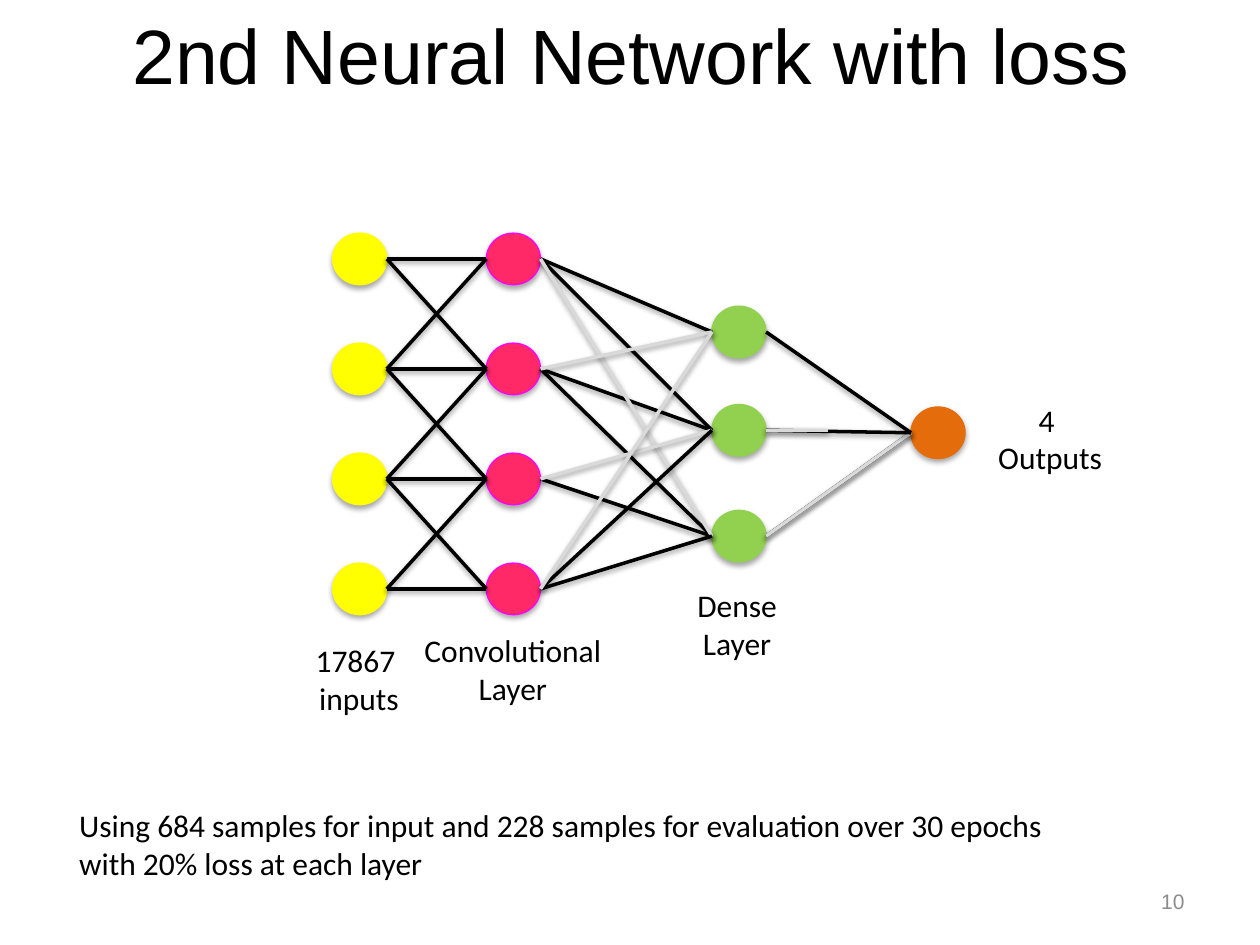
from dataclasses import dataclass

from lxml import etree
from pptx import Presentation
from pptx.dml.color import RGBColor
from pptx.enum import shapes, text
from pptx.oxml import ns
from pptx.util import Inches, Pt


@dataclass(frozen=True)
class Theme:
    black: str = "000000"
    grey: str = "D9D9D9"
    muted: str = "8C8C8C"
    yellow: str = "FFFF00"
    pink: str = "FF2968"
    magenta: str = "FF00FF"
    green: str = "92D050"
    orange: str = "E46C0A"
    head: str = "Arial"
    body: str = "Calibri"
    title: int = 44
    label: int = 18
    small: int = 12


@dataclass(frozen=True)
class Layer:
    left: float
    tops: tuple[float, ...]
    fill: str
    edge: str

    def start(self, row: int) -> tuple[float, float]:
        """Right-hand middle of a node."""
        return self.left + WIDE, self.tops[row] + HIGH / 2

    def end(self, row: int) -> tuple[float, float]:
        """Left-hand middle of a node."""
        return self.left, self.tops[row] + HIGH / 2


THEME = Theme()
WIDE, HIGH = 0.43, 0.41
ROWS = tuple(1.85 + 0.873 * row for row in range(4))
INPUT = Layer(2.64, ROWS, THEME.yellow, THEME.yellow)
CONV = Layer(3.86, ROWS, THEME.pink, THEME.magenta)
DENSE = Layer(5.65, (2.43, 3.21, 4.05), THEME.green, THEME.green)
OUTPUT = Layer(7.23, (3.23,), THEME.orange, THEME.orange)

# Links as (from row, to row, lost), in drawing order
NEAR = [(a, b, False) for a in range(4) for b in range(4) if abs(a - b) < 2]
CROSS = [(0, 0, False), (1, 1, False), (2, 2, False), (0, 1, False),
         (1, 2, False), (0, 2, True), (3, 2, False), (2, 1, True),
         (1, 0, True), (3, 1, False), (3, 0, True)]
FINAL = [(2, 0, False), (0, 0, False), (2, 0, True), (1, 0, False)]


def shade(shape, dist: int, alpha: int) -> None:
    """Give a shape a soft shadow straight below it."""
    props = shape._element.spPr
    effect = etree.SubElement(props, ns.qn("a:effectLst"))
    outer = etree.SubElement(effect, ns.qn("a:outerShdw"), blurRad="40000",
                             dist=str(dist), dir="5400000", rotWithShape="0")
    color = etree.SubElement(outer, ns.qn("a:srgbClr"), val=THEME.black)
    etree.SubElement(color, ns.qn("a:alpha"), val=str(alpha * 1000))


def node(slide, layer: Layer, top: float) -> None:
    dot = slide.shapes.add_shape(shapes.MSO_SHAPE.OVAL, Inches(layer.left),
                                 Inches(top), Inches(WIDE), Inches(HIGH))
    dot.fill.solid()
    dot.fill.fore_color.rgb = RGBColor.from_string(layer.fill)
    dot.line.color.rgb = RGBColor.from_string(layer.edge)
    dot.line.width = Pt(0.75)
    shade(dot, 23000, 35)


def link(slide, start: tuple[float, float], end: tuple[float, float],
         lost: bool = False) -> None:
    line = slide.shapes.add_connector(shapes.MSO_CONNECTOR.STRAIGHT,
                                      *map(Inches, start + end))
    color = THEME.grey if lost else THEME.black
    line.line.color.rgb = RGBColor.from_string(color)
    line.line.width = Pt(2)
    shade(line, 20000, 38)


def join(slide, source: Layer, target: Layer,
         links: list[tuple[int, int, bool]]) -> None:
    for a, b, lost in links:
        link(slide, source.start(a), target.end(b), lost)


def write(slide, words: str, box: tuple[float, float, float, float], *,
          size: int = THEME.label, font: str = THEME.body,
          color: str = THEME.black, align=text.PP_ALIGN.CENTER,
          anchor=text.MSO_ANCHOR.TOP, wrap: bool = False) -> None:
    frame = slide.shapes.add_textbox(*map(Inches, box)).text_frame
    frame.word_wrap = wrap
    frame.vertical_anchor = anchor
    frame.text = words
    for para in frame.paragraphs:
        para.alignment = align
        for run in para.runs:
            run.font.size = Pt(size)
            run.font.name = font
            run.font.color.rgb = RGBColor.from_string(color)


def main() -> None:
    deck = Presentation()
    deck.slide_width, deck.slide_height = Inches(10), Inches(7.5)
    slide = deck.slides.add_slide(deck.slide_layouts[6])

    # Title and slide number
    middle = text.MSO_ANCHOR.MIDDLE
    write(slide, "2nd Neural Network with loss", (0.19, 0.01, 9.64, 0.83),
          size=THEME.title, font=THEME.head, anchor=middle, wrap=True)
    write(slide, "10", (7.17, 6.95, 2.33, 0.4), size=THEME.small,
          font=THEME.head, color=THEME.muted, align=text.PP_ALIGN.RIGHT,
          anchor=middle, wrap=True)

    # Nodes
    for layer in (INPUT, CONV, DENSE, OUTPUT):
        for top in layer.tops:
            node(slide, layer, top)

    # Links, with the last one lost only in part
    join(slide, INPUT, CONV, NEAR)
    join(slide, CONV, DENSE, CROSS)
    join(slide, DENSE, OUTPUT, FINAL)
    x, y = DENSE.start(1)
    link(slide, (x, y), (x + 0.49, y), lost=True)

    # Layer labels
    write(slide, "17867 \ninputs", (2.4, 5.04, 0.9, 0.71))
    write(slide, "Convolutional\nLayer", (3.26, 4.96, 1.62, 0.71))
    write(slide, "Dense\nLayer", (5.43, 4.6, 0.84, 0.71))
    write(slide, "4 \nOutputs", (7.82, 3.13, 1.03, 0.71))

    # Training note
    write(slide, "Using 684 samples for input and 228 samples for evaluation "
          "over 30 epochs\nwith 20% loss at each layer",
          (0.53, 6.35, 9.47, 0.71), align=text.PP_ALIGN.LEFT, wrap=True)

    deck.save("out.pptx")


if __name__ == "__main__":
    main()
